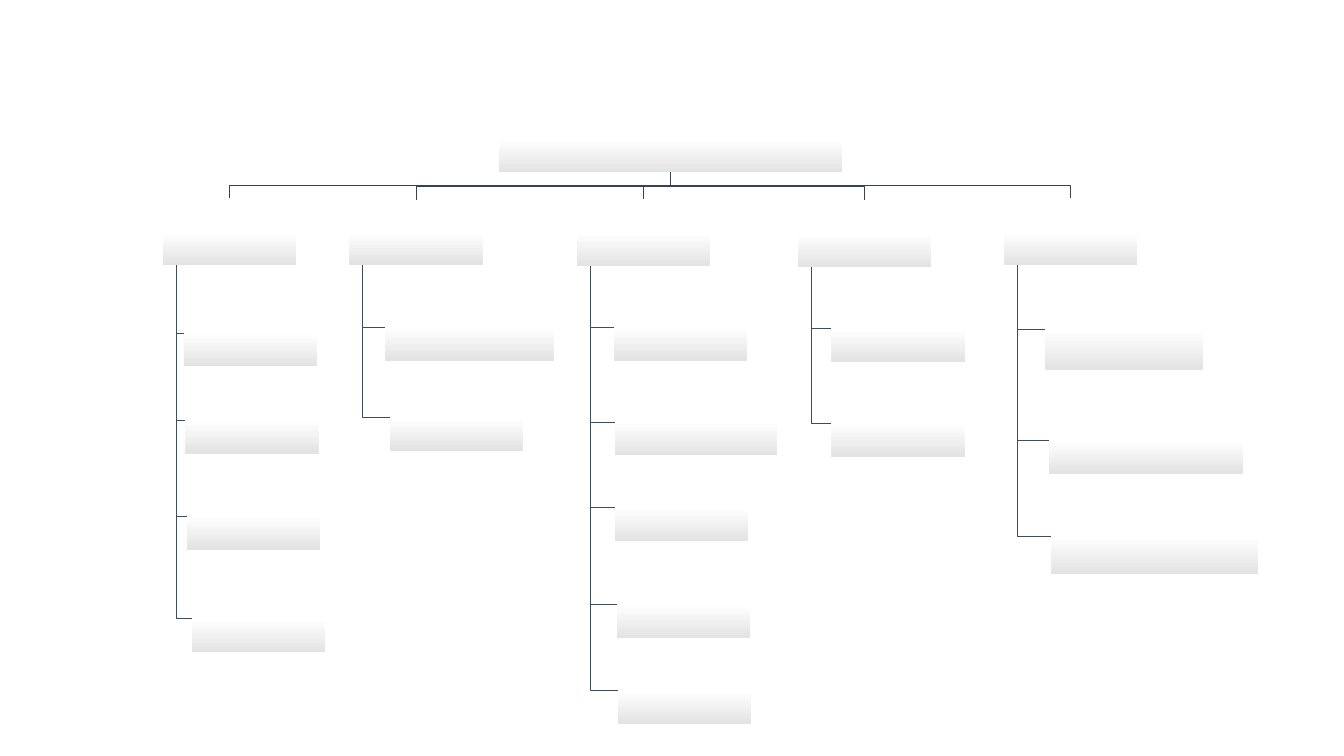
from pptx import Presentation
from pptx.dml.color import RGBColor
from pptx.enum import shapes
from pptx.util import Pt

WHITE = RGBColor(0xFF, 0xFF, 0xFF)
GREY = RGBColor(0xE3, 0xE3, 0xE3)
TRUNK_LINE = RGBColor(0x36, 0x43, 0x55)
BRANCH_LINE = RGBColor(0x3E, 0x4C, 0x60)

BOX_WIDTH, BOX_HEIGHT = 169.2, 85
STEM_INSET = BOX_WIDTH / 10

# Boxes are (left, top[, width[, height]]) in points.
ROOT = (633.6, 133.9, 435.6)
BRANCHES = [
    ((206.6, 252), [(233.3, 380.2), (235.4, 491), (237.6, 612.7), (243.4, 743)]),
    ((443.5, 253.4, BOX_WIDTH, 82.8), [(488.2, 373, 214.6), (494.6, 487.4)]),
    ((732.2, 252.7), [(779, 373), (780.5, 493.2, 205.9), (780.5, 601.9),
                      (783.4, 725), (784.1, 833.8)]),
    ((1013, 254.2), [(1055.5, 374.4), (1055.5, 494.6)]),
    ((1274.4, 252), [(1326.2, 366.5, 201.6, 103.7), (1332, 516.2, 246.2),
                     (1334.2, 632.2, 263.5, 96.5)]),
]

presentation = Presentation()
presentation.slide_width = Pt(1706.4)
presentation.slide_height = Pt(959.8)
slide = presentation.slides.add_slide(presentation.slide_layouts[6])


def add_elbow(points, color):
    """Draw an open, right-angled line through the points."""
    start, *rest = [(Pt(x), Pt(y)) for x, y in points]
    builder = slide.shapes.build_freeform(*start)
    builder.add_line_segments(rest, close=False)
    shape = builder.convert_to_shape()
    shape.fill.background()
    shape.line.color.rgb = color
    shape.line.width = Pt(0.5)
    shape.shadow.inherit = False


def add_box(left, top, width=BOX_WIDTH, height=BOX_HEIGHT):
    """Draw a borderless box that fades from white to grey in its lower half."""
    shape = slide.shapes.add_shape(
        shapes.MSO_SHAPE.RECTANGLE, Pt(left), Pt(top), Pt(width), Pt(height))
    shape.shadow.inherit = False
    shape.line.fill.background()
    shape.fill.gradient()
    shape.fill.gradient_angle = 270
    for stop, position, color in zip(shape.fill.gradient_stops, (0.5, 1), (WHITE, GREY)):
        stop.position = position
        stop.color.rgb = color


# Lines lie behind the boxes
root_left, root_top, root_width = ROOT
root_center = root_left + root_width / 2
root_bottom = root_top + BOX_HEIGHT
for head, children in reversed(BRANCHES):
    left, top = head[:2]
    height = head[3] if len(head) > 3 else BOX_HEIGHT
    stem = left + STEM_INSET
    for child in reversed(children):
        child_left, child_top = child[:2]
        child_height = child[3] if len(child) > 3 else BOX_HEIGHT
        middle = child_top + child_height / 2
        add_elbow([(stem, top + height), (stem, middle), (child_left, middle)],
                  BRANCH_LINE)
    center = left + BOX_WIDTH / 2
    bend = (root_bottom + top) / 2
    add_elbow([(root_center, root_bottom), (root_center, bend), (center, bend),
               (center, top)], TRUNK_LINE)

# Boxes
add_box(*ROOT)
for head, children in BRANCHES:
    for box in [head, *children]:
        add_box(*box)

presentation.save("out.pptx")
